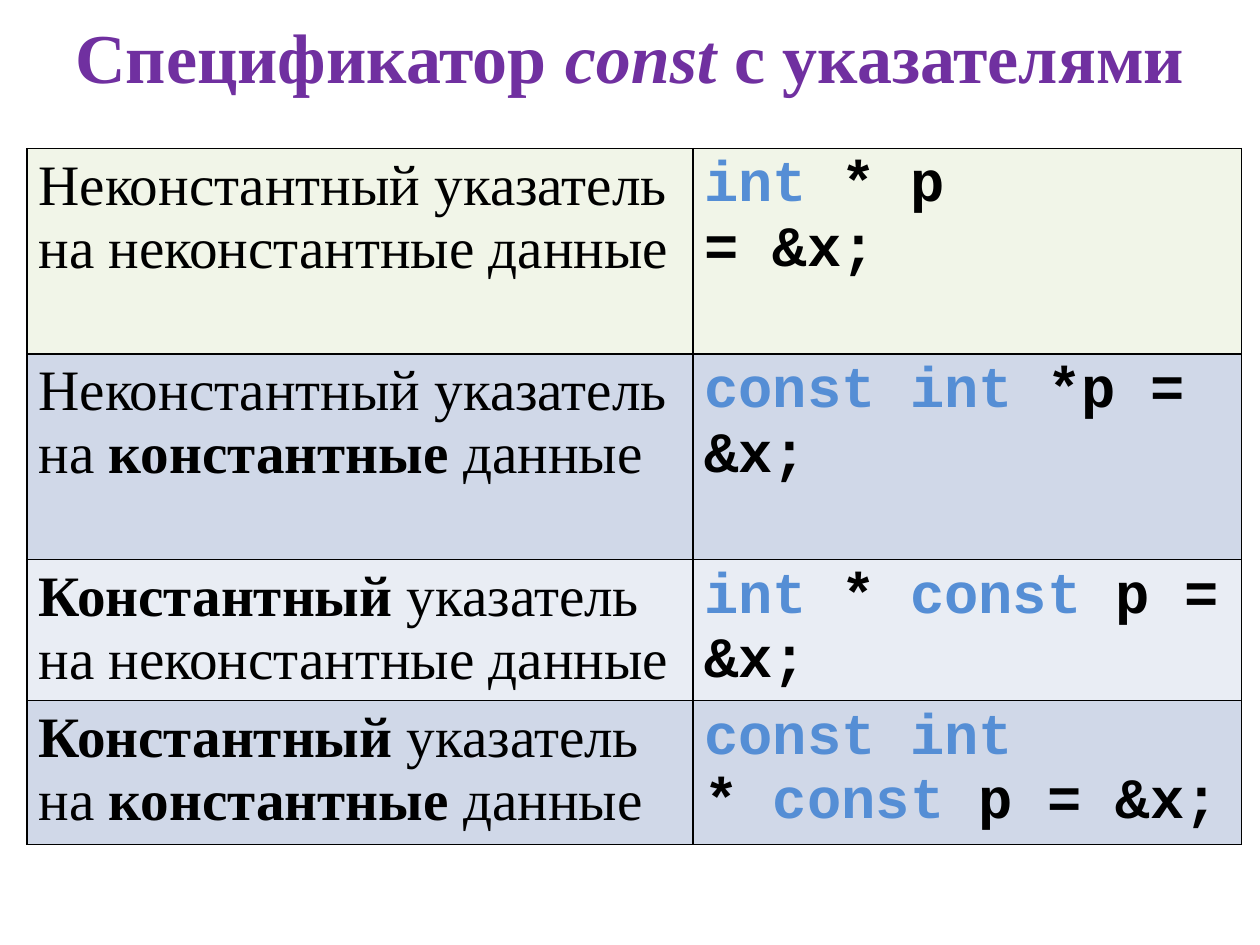
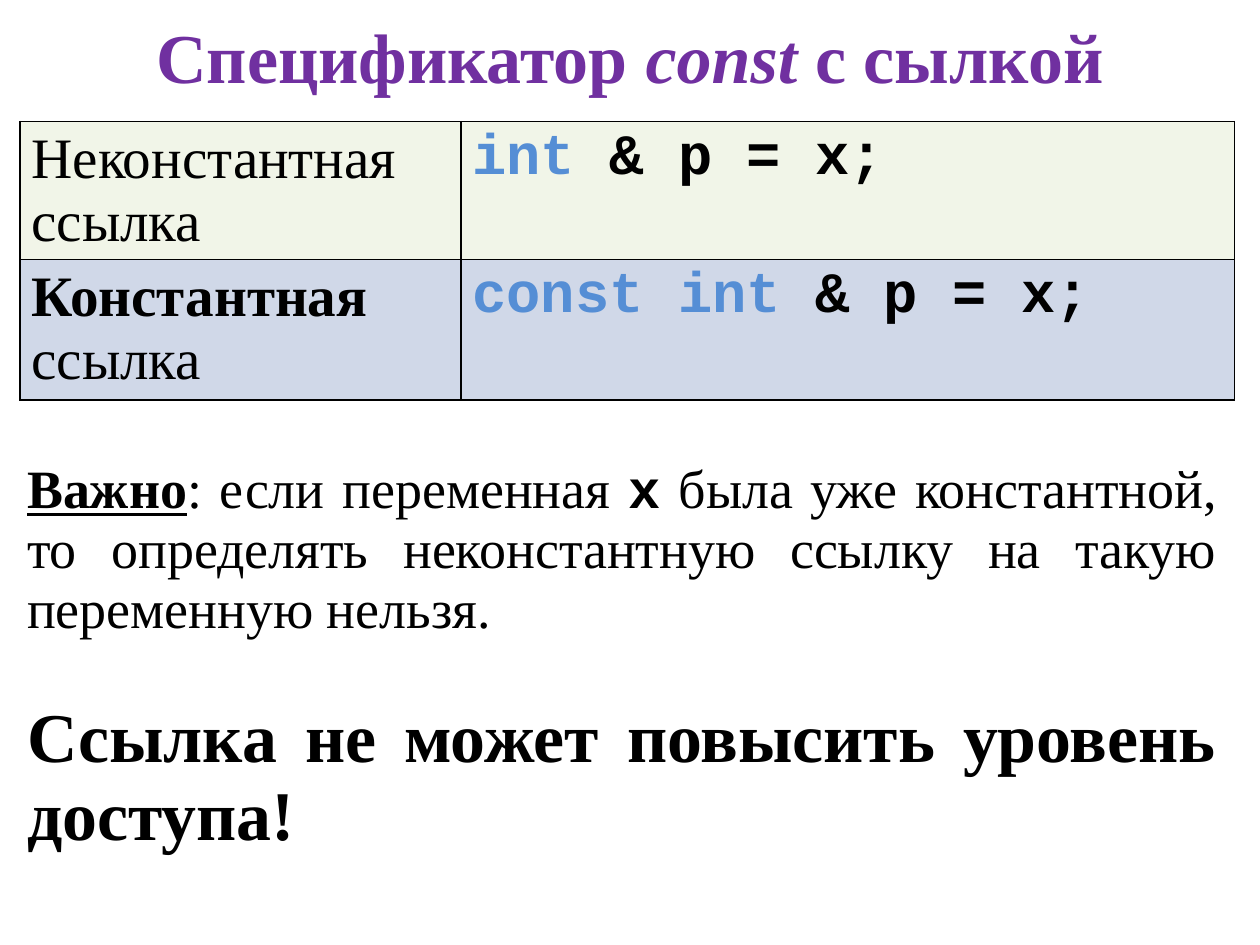
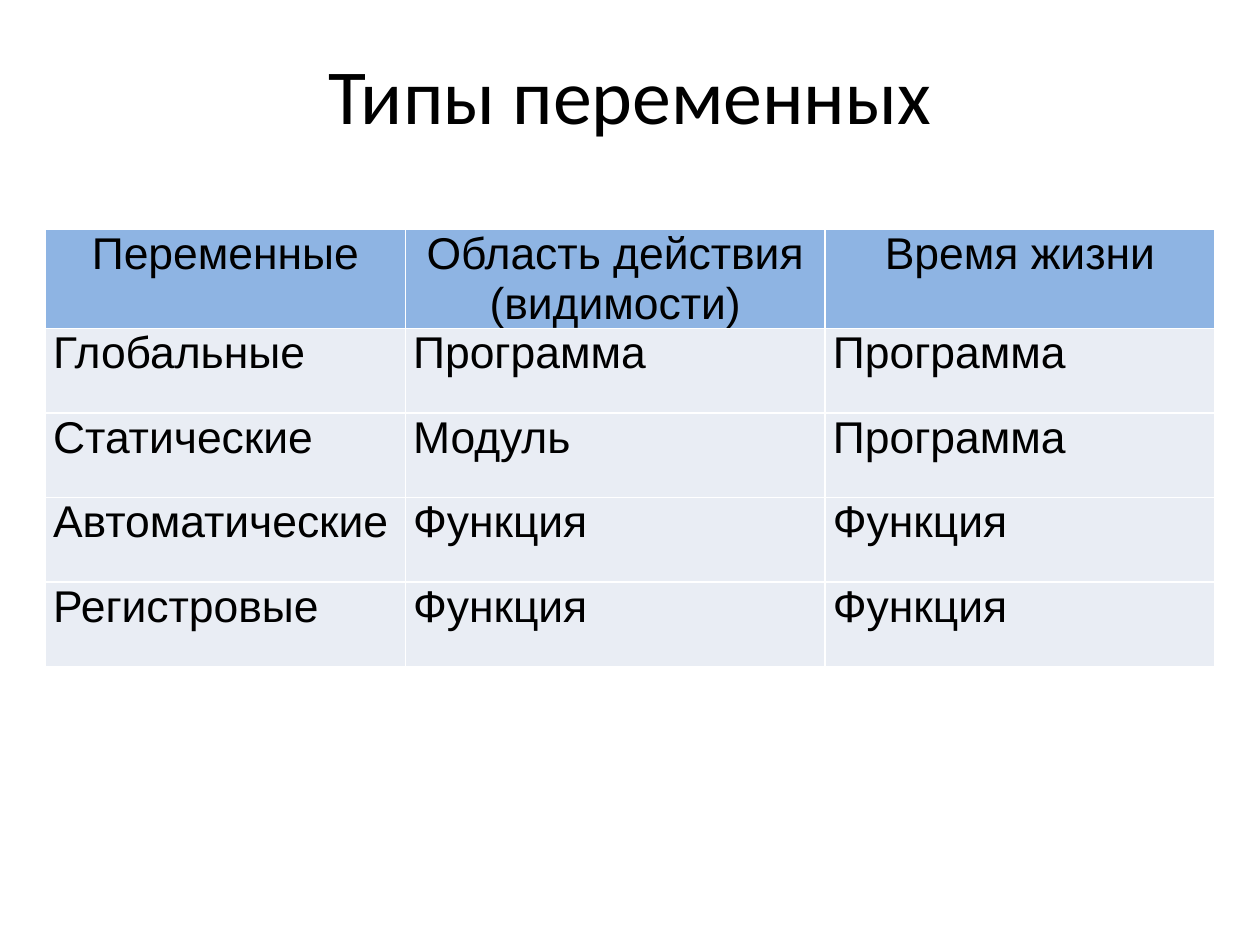
from functools import partial

from lxml.etree import SubElement
from pptx import Presentation
from pptx.dml.color import RGBColor
from pptx.enum.text import MSO_ANCHOR as Anchor, MSO_AUTO_SIZE as AutoSize, PP_ALIGN as Align
from pptx.oxml.ns import qn
from pptx.util import Pt

PAGE_WIDTH, PAGE_HEIGHT = 793.75, 595.25
TITLE_ONLY = 5

BLACK = RGBColor(0x00, 0x00, 0x00)
WHITE = RGBColor(0xFF, 0xFF, 0xFF)
PURPLE = RGBColor(0x70, 0x30, 0xA0)
KEYWORD_BLUE = RGBColor(0x55, 0x8E, 0xD5)
GREEN = RGBColor(0xD7, 0xE4, 0xBD)
BLUE_BAND = RGBColor(0xD0, 0xD8, 0xE8)
PALE_BAND = RGBColor(0xE9, 0xED, 0xF4)
HEADER_BLUE = RGBColor(0x8E, 0xB4, 0xE3)

SERIF, MONO, SANS, TITLE_SANS = "Times New Roman", "Courier New", "Arial", "Calibri"
NOTE_SPACING = 0.93
GREEN_OPACITY = 34


# Text: a paragraph is a list of (words, format) spans
def styled(words, **style):
    return words, style


plain = partial(styled, font=SERIF, size=36)
strong = partial(plain, bold=True)
code = partial(styled, font=MONO, size=36, bold=True)
keyword = partial(code, color=KEYWORD_BLUE)
heading = partial(styled, font=SERIF, size=44.1, color=PURPLE, bold=True)


def add_span(para, words, font=SERIF, size=36, color=BLACK, bold=False,
             italic=False, underline=False):
    span = para.add_run()
    span.text = words
    span.font.name, span.font.size = font, Pt(size)
    span.font.bold, span.font.italic, span.font.underline = bold, italic, underline
    span.font.color.rgb = color


def write(frame, paragraphs, align=Align.LEFT, spacing=None, gap=0):
    for index, spans in enumerate(paragraphs):
        para = frame.paragraphs[0] if index == 0 else frame.add_paragraph()
        para.alignment = align
        if spacing:
            para.line_spacing = spacing
        if index and gap:
            para.space_before = Pt(gap)
        for words, style in spans:
            add_span(para, words, **style)


def set_margins(target, left, top, right, bottom):
    target.margin_left, target.margin_top = Pt(left), Pt(top)
    target.margin_right, target.margin_bottom = Pt(right), Pt(bottom)


# Titles
def add_title(page, box, spans, top_margin=3):
    title = page.shapes.title
    title.left, title.top, title.width, title.height = map(Pt, box)
    frame = title.text_frame
    frame.word_wrap, frame.auto_size = True, AutoSize.NONE
    frame.vertical_anchor = Anchor.MIDDLE
    set_margins(frame, 8, top_margin, 8, 4)
    write(frame, [spans], align=Align.CENTER)


def add_const_title(page, ending):
    add_title(page, (0, 8.5, PAGE_WIDTH, 54),
              [heading("Спецификатор "), heading("const ", italic=True), heading(ending)])


# Tables
def add_borders(cell, color):
    properties = cell._tc.get_or_add_tcPr()
    for position, side in enumerate(("a:lnL", "a:lnR", "a:lnT", "a:lnB")):
        line = SubElement(properties, qn(side), w=str(Pt(1)))
        fill = SubElement(line, qn("a:solidFill"))
        SubElement(fill, qn("a:srgbClr"), val=str(color))
        properties.insert(position, line)


def fill_cell(cell, color):
    cell.fill.solid()
    cell.fill.fore_color.rgb = color
    if color == GREEN:
        tint = cell._tc.tcPr.find(qn("a:solidFill")).find(qn("a:srgbClr"))
        SubElement(tint, qn("a:alpha"), val=str(GREEN_OPACITY * 1000))


def add_grid(page, left, top, widths, heights, border):
    table = page.shapes.add_table(len(heights), len(widths), Pt(left), Pt(top),
                                  Pt(sum(widths)), Pt(sum(heights))).table
    table.first_row = table.horz_banding = False
    for column, width in zip(table.columns, widths):
        column.width = Pt(width)
    for row, height in zip(table.rows, heights):
        row.height = Pt(height)
    for cell in table.iter_cells():
        add_borders(cell, border)
    return table


def add_const_table(page, left, top, widths, heights, rows):
    table = add_grid(page, left, top, widths, heights, BLACK)
    for index, (color, description, code_lines) in enumerate(rows):
        for column, paragraphs in enumerate(([description], code_lines)):
            cell = table.cell(index, column)
            fill_cell(cell, color)
            write(cell.text_frame, paragraphs)


def add_scope_table(page, left, top, widths, heights, rows):
    table = add_grid(page, left, top, widths, heights, WHITE)
    for index, row in enumerate(rows):
        color, align = (PALE_BAND, Align.JUSTIFY) if index else (HEADER_BLUE, Align.CENTER)
        for column, words in enumerate(row):
            cell = table.cell(index, column)
            set_margins(cell, 5, 0, 5, 0)
            fill_cell(cell, color)
            write(cell.text_frame, [[styled(words, font=SANS, size=28)]], align=align)


# Note under a table
def add_note(page, box, paragraphs, gap):
    frame = page.shapes.add_textbox(*map(Pt, box)).text_frame
    frame.word_wrap = True
    write(frame, paragraphs, align=Align.JUSTIFY, spacing=NOTE_SPACING, gap=gap)


# Slides
def build_pointers(page):
    add_const_title(page, "с указателями")
    add_const_table(page, 17, 93.6, (419.5, 345.5), (129.5, 129.5, 88.5, 90.5), [
        (GREEN, [plain("Неконстантный указатель на неконстантные данные")],
         [[keyword("int "), code("* p")], [code("= &x;")]]),
        (BLUE_BAND, [plain("Неконстантный указатель на "), strong("константные"),
                     plain(" данные")],
         [[keyword("const int "), code("*p = &x;")]]),
        (PALE_BAND, [strong("Константный"), plain(" указатель на неконстантные данные")],
         [[keyword("int "), code("* "), keyword("const "), code("p = &x;")]]),
        (BLUE_BAND, [strong("Константный"), plain(" указатель на "), strong("константные"),
                     plain(" данные")],
         [[keyword("const int")], [code("* "), keyword("const "), code("p = &x;")]]),
    ])


def build_references(page):
    add_const_title(page, "с сылкой")
    add_const_table(page, 12.6, 76.5, (277.8, 487.5), (87, 88.5), [
        (GREEN, [plain("Неконстантная ссылка")], [[keyword("int "), code("& p = x;")]]),
        (BLUE_BAND, [strong("Константная"), plain(" ссылка")],
         [[keyword("const int "), code("& p = x;")]]),
    ])
    add_note(page, (10, 286.2, 764, 260), [
        [strong("Важно", size=34, underline=True), plain(": если переменная ", size=34),
         code("x", size=34),
         plain(" была уже константной, то определять неконстантную ссылку "
               "на такую переменную нельзя.", size=34)],
        [strong("Ссылка не может повысить уровень доступа!", size=44)],
    ], gap=37.8)


def build_scopes(page):
    add_title(page, (39.6, 23.8, 714.2, 70),
              [styled("Типы переменных", font=TITLE_SANS, size=49)], top_margin=4)
    add_scope_table(page, 28.5, 144.5, (226.8, 264.5, 245.5), [62] + [53.2] * 4, [
        ("Переменные", "Область действия (видимости)", "Время жизни"),
        ("Глобальные", "Программа", "Программа"),
        ("Статические", "Модуль", "Программа"),
        ("Автоматические", "Функция", "Функция"),
        ("Регистровые", "Функция", "Функция"),
    ])


def main():
    deck = Presentation()
    deck.slide_width, deck.slide_height = Pt(PAGE_WIDTH), Pt(PAGE_HEIGHT)
    for build in (build_pointers, build_references, build_scopes):
        build(deck.slides.add_slide(deck.slide_layouts[TITLE_ONLY]))
    deck.save("out.pptx")


if __name__ == "__main__":
    main()
